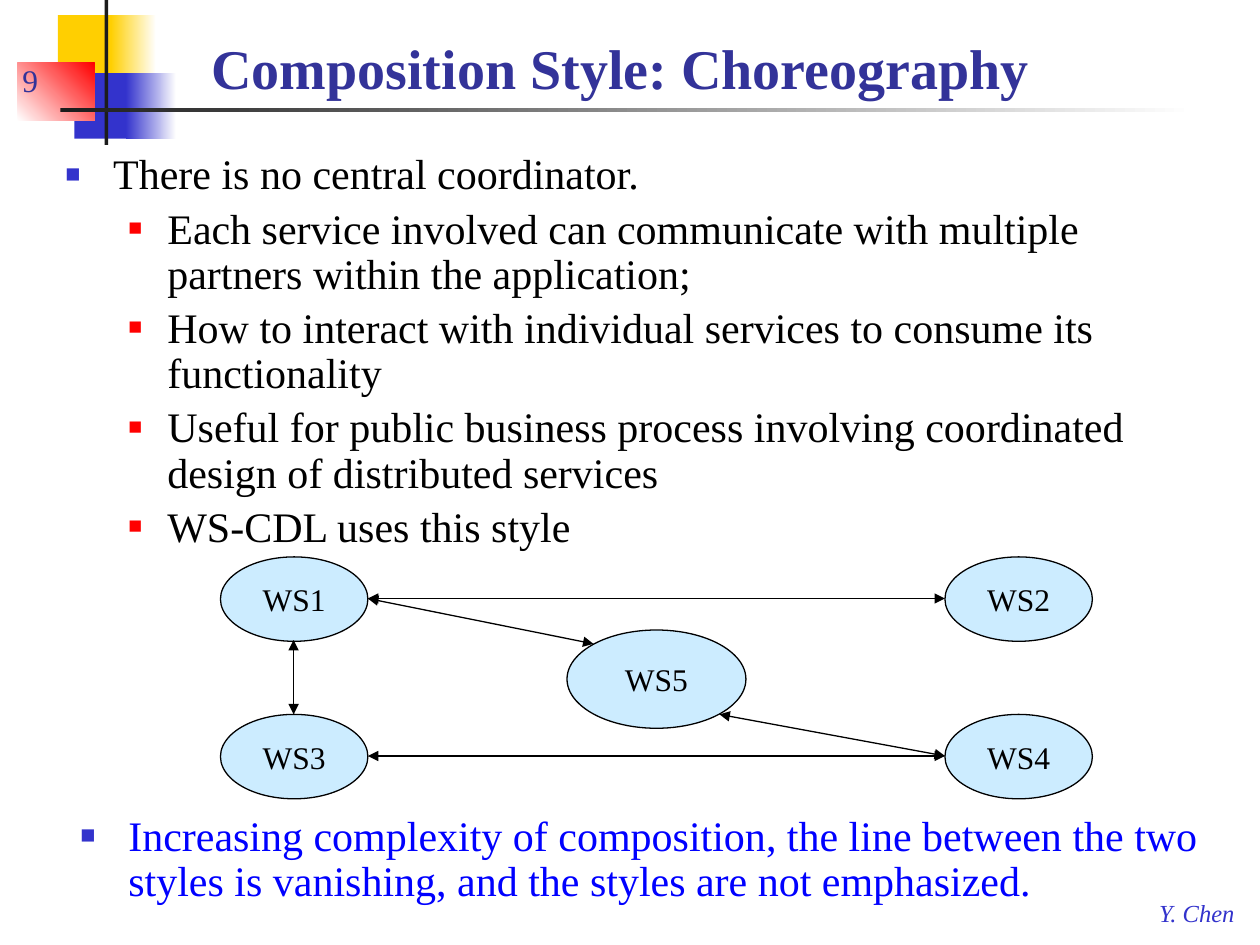
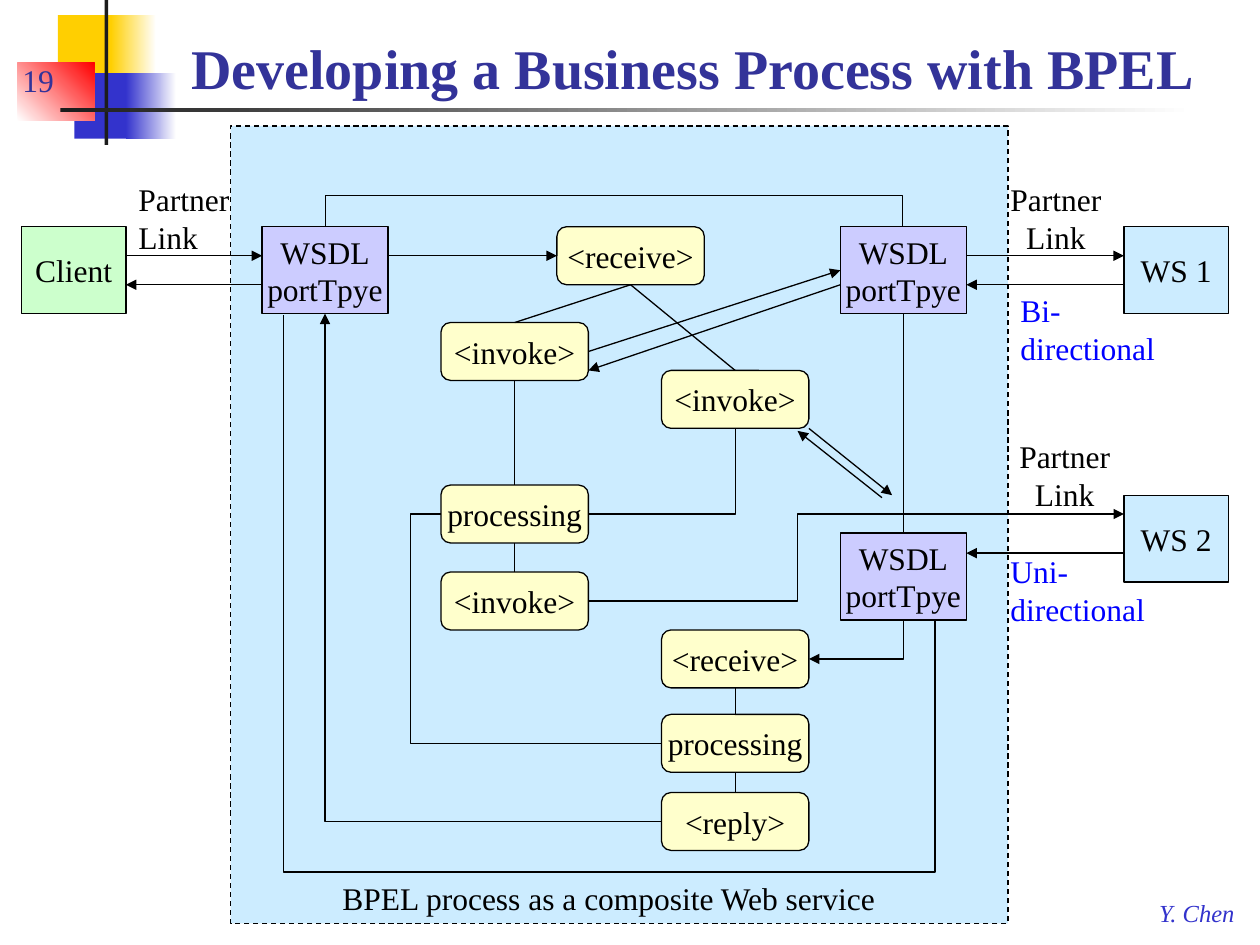
from lxml import etree
from pptx import Presentation
from pptx.dml.color import RGBColor
from pptx.enum import dml, shapes, text
from pptx.oxml import ns
from pptx.util import Inches, Pt

WHITE = RGBColor(0xFF, 0xFF, 0xFF)
BLACK = RGBColor(0, 0, 0)
CHARCOAL = RGBColor(0x1C, 0x1C, 0x1C)
GOLD = RGBColor(0xFF, 0xCF, 0x01)
RED = RGBColor(0xFF, 0, 0)
INDIGO = RGBColor(0x33, 0x33, 0xCC)
NAVY = RGBColor(0x33, 0x33, 0x99)
BLUE = RGBColor(0, 0, 0xFF)
SKY = RGBColor(0xCC, 0xEC, 0xFF)
LILAC = RGBColor(0xCC, 0xCC, 0xFF)
CREAM = RGBColor(0xFF, 0xFF, 0xCC)
MINT = RGBColor(0xCC, 0xFF, 0xCC)

FONT = "Times New Roman"
RECT = shapes.MSO_SHAPE.RECTANGLE
OVAL = shapes.MSO_SHAPE.OVAL
STEP = shapes.MSO_SHAPE.FLOWCHART_ALTERNATE_PROCESS
CENTER = text.PP_ALIGN.CENTER
LEFT = text.PP_ALIGN.LEFT
TOP_SIDE, LEFT_SIDE, BOTTOM_SIDE, RIGHT_SIDE = range(4)
BULLETS = [(INDIGO, 60, 0.38, 0.38), (RED, 55, 0.81, 0.31)]


def put(slide, words, at, kind=None, fill=None, angle=0, outline=None, size=18,
        color=BLACK, bold=False, italic=False, align=LEFT,
        anchor=text.MSO_ANCHOR.TOP, wrap=False, levels=()):
    frame = [Inches(v) for v in at]
    if kind is None:
        item = slide.shapes.add_textbox(*frame)
    else:
        item = slide.shapes.add_shape(kind, *frame)
        item.shadow.inherit = False
        if isinstance(fill, RGBColor):
            item.fill.solid()
            item.fill.fore_color.rgb = fill
        else:
            item.fill.gradient()
            item.fill.gradient_angle = angle
            for stop, shade in zip(item.fill.gradient_stops, fill):
                stop.color.rgb = shade
        if outline is None:
            item.line.fill.background()
        else:
            item.line.color.rgb = outline
            item.line.width = Pt(0.75)
    if not words:
        return item
    body = item.text_frame
    body.word_wrap = wrap
    body.vertical_anchor = anchor
    for i, line in enumerate(words.split("\n")):
        par = body.add_paragraph() if i else body.paragraphs[0]
        par.text = line
        par.alignment = align
        if levels:
            par.level = levels[i]
            shade, percent, margin, hang = BULLETS[levels[i]]
            props = par._p.get_or_add_pPr()
            props.set("marL", str(Inches(margin)))
            props.set("indent", str(-Inches(hang)))
            tint = etree.SubElement(props, ns.qn("a:buClr"))
            etree.SubElement(tint, ns.qn("a:srgbClr"), val=str(shade))
            etree.SubElement(props, ns.qn("a:buSzPct"), val=str(percent * 1000))
            etree.SubElement(props, ns.qn("a:buFont"), typeface=FONT)
            etree.SubElement(props, ns.qn("a:buChar"), char="■")
            par.line_spacing = 0.9
            if i:
                par.space_before = Pt(5)
        for run in par.runs:
            run.font.name = FONT
            run.font.size = Pt(size)
            run.font.bold = bold
            run.font.italic = italic
            run.font.color.rgb = color
    return item


def link(slide, start, end, arrows="", elbow=None, adjust=None):
    glued = [not isinstance(spot[0], (int, float)) for spot in (start, end)]
    ends = [(0, 0) if fixed else [Inches(v) for v in spot]
            for fixed, spot in zip(glued, (start, end))]
    line = slide.shapes.add_connector(shapes.MSO_CONNECTOR.STRAIGHT, *ends[0], *ends[1])
    if glued[0]:
        line.begin_connect(*start)
    if glued[1]:
        line.end_connect(*end)
    line.line.color.rgb = BLACK
    line.line.width = Pt(0.75)
    props = line.element.spPr
    for tag in ("headEnd", "tailEnd"):
        if tag[:4] in arrows:
            etree.SubElement(props.find(ns.qn("a:ln")), ns.qn("a:" + tag), type="triangle")
    etree.SubElement(props, ns.qn("a:effectLst"))
    if elbow:
        outline = props.find(ns.qn("a:prstGeom"))
        outline.set("prst", elbow)
        if adjust is not None:
            for old in list(outline):
                outline.remove(old)
            guides = etree.SubElement(outline, ns.qn("a:avLst"))
            etree.SubElement(guides, ns.qn("a:gd"), name="adj1",
                             fmla=f"val {round(adjust * 100000)}")
    return line


deck = Presentation()
deck.slide_width, deck.slide_height = Inches(10), Inches(7.5)

DECOR = [
    ((0.46, 0.12, 0.48, 0.52), GOLD, 0),
    ((0.88, 0.12, 0.36, 0.52), (GOLD, WHITE), 0),
    ((0.59, 0.58, 0.46, 0.52), INDIGO, 0),
    ((1, 0.58, 0.4, 0.52), (INDIGO, WHITE), 0),
    ((0.14, 0.5, 0.61, 0.46), (WHITE, RED), 45),
    ((0.83, 0, 0.03, 1.15), CHARCOAL, 0),
    ((0.48, 0.86, 9, 0.03), (CHARCOAL, WHITE), 0),
]
HEADINGS = [
    ("9", "Composition Style: Choreography", 1.58),
    ("19", "Developing a Business Process with BPEL", 1.42),
]
for number, title, title_left in HEADINGS:
    slide = deck.slides.add_slide(deck.slide_layouts[6])
    for at, fill, angle in DECOR:
        put(slide, "", at, RECT, fill=fill, angle=angle)
    put(slide, "Y. Chen", (9.1, 7.08, 0.82, 0.33), size=14, color=INDIGO, italic=True)
    put(slide, number, (0.08, 0.33, 0.78, 0.5), color=NAVY, wrap=True,
        anchor=text.MSO_ANCHOR.BOTTOM)
    put(slide, title, (title_left, 0.17, 9.91 - title_left, 0.68), size=32, color=NAVY,
        bold=True, wrap=True, anchor=text.MSO_ANCHOR.BOTTOM)
choreography, bpel = deck.slides

points = [
    "There is no central coordinator.",
    "Each service involved can communicate with multiple partners within the application;",
    "How to interact with individual services to consume its functionality",
    "Useful for public business process involving coordinated design of distributed services",
    "WS-CDL uses this style",
]
put(choreography, "\n".join(points), (0.42, 1.17, 9.38, 3.58), size=24, wrap=True,
    levels=(0, 1, 1, 1, 1))

node_style = dict(outline=BLACK, align=CENTER, anchor=text.MSO_ANCHOR.MIDDLE)
corners = [(x, y, 1.17, 0.67) for y in (4.42, 5.67) for x in (1.75, 7.5)]
for i, at in enumerate(corners + [(4.5, 5, 1.42, 0.78)], 1):
    put(choreography, f"WS{i}", at, OVAL, fill=SKY, **node_style)
for start, end in [
    ((4.71, 5.11), (2.92, 4.75)),
    ((7.5, 6), (2.92, 6)),
    ((2.92, 4.75), (7.5, 4.75)),
    ((5.71, 5.67), (7.5, 6)),
    ((2.33, 5.08), (2.33, 5.67)),
]:
    link(choreography, start, end, "head tail")
put(choreography, "Increasing complexity of composition, the line between the two styles "
    "is vanishing, and the styles are not emphasized.", (0.54, 6.42, 9.38, 0.83),
    size=24, color=BLUE, wrap=True, levels=(0,))

process = put(bpel, "", (1.83, 1, 6.17, 6.33), RECT, fill=SKY, outline=BLACK)
process.line.dash_style = dml.MSO_LINE.DASH

client_port, ws1_port, ws2_port = [
    put(bpel, "WSDL\vportTpye", (x, y, 1, 0.69), RECT, fill=LILAC, **node_style)
    for x, y in [(2.08, 1.8), (6.67, 1.8), (6.67, 4.23)]]
for name, x, y, fill in [("Client", 0.17, 1.8, MINT), ("WS 1", 8.92, 1.8, SKY),
                         ("WS 2", 8.92, 3.93, SKY)]:
    put(bpel, name, (x, y, 0.83, 0.69), RECT, fill=fill, **node_style)

(receive, invoke_ws1, invoke_both, processing, invoke_ws2,
 receive_ws2, processing_ws2, reply) = [
    put(bpel, name, (x, y, 1.17, 0.46), STEP, fill=CREAM, **node_style)
    for name, x, y in [
        ("<receive>", 4.42, 1.8), ("<invoke>", 3.5, 2.56), ("<invoke>", 5.25, 2.94),
        ("processing", 3.5, 3.85), ("<invoke>", 3.5, 4.54), ("<receive>", 5.25, 5),
        ("processing", 5.25, 5.67), ("<reply>", 5.25, 6.29)]]

for upper, lower in [
    (receive, invoke_ws1), (receive, invoke_both), (invoke_ws1, processing),
    (processing, invoke_ws2), (receive_ws2, processing_ws2), (processing_ws2, reply),
    (ws1_port, ws2_port),
]:
    link(bpel, (upper, BOTTOM_SIDE), (lower, TOP_SIDE))

for start, end in [
    ((1, 2.03), (2.08, 2.03)),
    ((2.08, 2.26), (1, 2.26)),
    ((3.08, 2.03), (receive, LEFT_SIDE)),
    ((invoke_ws1, RIGHT_SIDE), (ws1_port, LEFT_SIDE)),
    ((6.67, 2.26), (4.67, 2.94)),
    ((7.67, 2.03), (8.92, 2.03)),
    ((8.92, 2.26), (7.67, 2.26)),
    ((8.92, 4.39), (7.67, 4.39)),
    ((6.42, 3.4), (7.08, 3.93)),
    ((7, 3.95), (6.33, 3.42)),
]:
    link(bpel, start, end, "tail")

link(bpel, (reply, LEFT_SIDE), (client_port, BOTTOM_SIDE), "tail", "bentConnector2")
link(bpel, (receive_ws2, RIGHT_SIDE), (ws2_port, BOTTOM_SIDE), "head", "bentConnector2")
link(bpel, (processing, RIGHT_SIDE), (invoke_both, BOTTOM_SIDE), "", "bentConnector2")
link(bpel, (processing, LEFT_SIDE), (processing_ws2, LEFT_SIDE), "", "bentConnector3", -0.14)
link(bpel, (invoke_ws2, RIGHT_SIDE), (8.92, 4.08), "tail", "bentConnector3", 0.39)
port_bridge = link(bpel, (client_port, TOP_SIDE), (ws1_port, TOP_SIDE), "",
                   "bentConnector3", -25)
port_bridge.left, port_bridge.top = Inches(4.87), Inches(-0.49)
port_bridge.width, port_bridge.height = Inches(0.01), Inches(4.58)
turn = port_bridge.element.spPr.find(ns.qn("a:xfrm"))
turn.set("rot", str(90 * 60000))
turn.set("flipV", "1")

route = bpel.shapes.build_freeform(Inches(2.25), Inches(2.5))
route.add_line_segments([(Inches(x), Inches(y)) for x, y in
                         [(2.25, 6.92), (7.42, 6.92), (7.42, 4.92)]], close=False)
port_loop = route.convert_to_shape()
port_loop.shadow.inherit = False
port_loop.fill.background()
port_loop.line.color.rgb = BLACK
port_loop.line.width = Pt(0.75)

for x, y, align in [(1, 1.38, LEFT), (7.92, 1.38, CENTER), (7.99, 3.42, CENTER)]:
    put(bpel, "Partner\nLink", (x, y, 0.92, 0.7), align=align)
for prefix, x, y in [("Bi", 8, 2.26), ("Uni", 7.92, 4.33)]:
    put(bpel, f"{prefix}-\ndirectional", (x, y, 1.28, 0.71), color=BLUE)
put(bpel, "BPEL process as a composite Web service", (2.62, 6.93, 4.47, 0.4))

deck.save("out.pptx")
